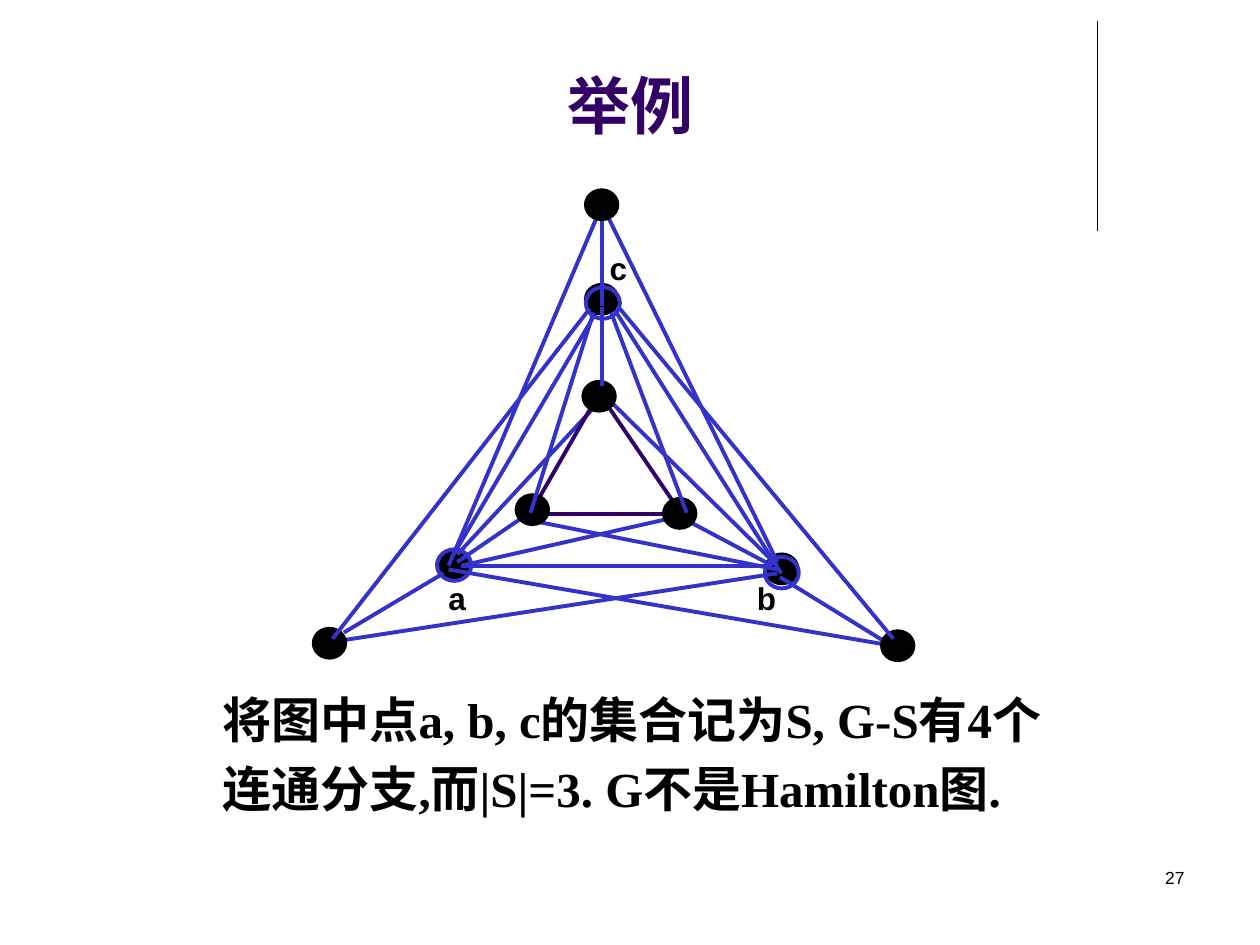
from dataclasses import dataclass
from typing import NamedTuple

from lxml import etree
from pptx import Presentation
from pptx import util as u
from pptx.dml.color import RGBColor
from pptx.enum import shapes, text
from pptx.oxml.ns import qn

PX = 9144  # EMU per px, 100 px to the inch
BLACK = RGBColor(0, 0, 0)
BLUE = RGBColor(0x33, 0x33, 0xCC)
PURPLE = RGBColor(0x33, 0x00, 0x66)
NODE_W, NODE_H = 27, 25


class Point(NamedTuple):
    x: int
    y: int


class Box(NamedTuple):
    x: int
    y: int
    w: int
    h: int


class Edge(NamedTuple):
    x1: int
    y1: int
    x2: int
    y2: int


@dataclass
class Hub:
    """A labelled vertex of S with its ring and the edges drawn with it."""
    name: str
    dot: Point
    ring: Point
    label: Box
    edges: list[Edge]


HUBS_AB = [
    Hub("a", Point(346, 436), Point(347, 436), Box(346, 455, 37, 40), [
        Edge(366, 449, 630, 449), Edge(476, 167, 356, 449),
        Edge(476, 243, 360, 440), Edge(356, 452, 717, 514),
        Edge(423, 405, 363, 446), Edge(352, 455, 273, 502),
        Edge(366, 449, 547, 408), Edge(363, 440, 483, 311)]),
    Hub("b", Point(607, 439), Point(607, 442), Box(591, 455, 37, 40), [
        Edge(480, 167, 617, 446), Edge(486, 243, 620, 455),
        Edge(619, 458, 710, 514), Edge(547, 414, 613, 449),
        Edge(426, 414, 617, 452), Edge(273, 508, 617, 455),
        Edge(486, 320, 617, 449)]),
]
HUB_C = Hub("c", Point(464, 225), Point(465, 228), Box(474, 193, 38, 31), [
    Edge(478, 175, 478, 243), Edge(478, 244, 478, 306),
    Edge(471, 248, 421, 407), Edge(485, 248, 545, 407),
    Edge(492, 245, 709, 507), Edge(468, 245, 264, 507)])
INNER_TRIANGLE = [Edge(429, 408, 529, 408), Edge(471, 320, 424, 402),
                  Edge(481, 320, 541, 408)]
OTHER_DOTS = [Point(248, 498), Point(409, 392), Point(464, 150),
              Point(462, 302), Point(526, 395), Point(699, 500)]


def px(*values: int) -> list[int]:
    return [u.Emu(v * PX) for v in values]


def add_line(parent, edge: Edge, color: RGBColor, width: float = 2.25) -> None:
    ln = parent.add_connector(shapes.MSO_CONNECTOR.STRAIGHT, *px(*edge))
    ln.line.color.rgb = color
    ln.line.width = u.Pt(width)
    etree.SubElement(ln._element.spPr, qn("a:effectLst"))


def add_node(parent, at: Point, ring: bool = False) -> None:
    sp = parent.add_shape(shapes.MSO_SHAPE.OVAL, *px(*at, NODE_W, NODE_H))
    sp.shadow.inherit = False
    if ring:
        sp.fill.background()
    else:
        sp.fill.solid()
        sp.fill.fore_color.rgb = BLACK
    sp.line.color.rgb = BLUE if ring else BLACK
    sp.line.width = u.Pt(2.25 if ring else 0.75)


def add_run(p, words: str, size: int, font: str = "Arial",
            color: RGBColor = BLACK, bold: bool = True) -> None:
    r = p.add_run()
    r.text = words
    r.font.name, r.font.size, r.font.bold = font, u.Pt(size), bold
    r.font.color.rgb = color


def add_text_box(parent, box: Box, wrap: bool = True):
    tf = parent.add_textbox(*px(*box)).text_frame
    tf.word_wrap = wrap
    return tf.paragraphs[0]


def add_hub(s, hub: Hub) -> None:
    parent = s.shapes.add_group_shape().shapes
    add_node(parent, hub.dot)
    for edge in hub.edges:
        add_line(parent, edge, BLUE)
    add_node(parent, hub.ring, ring=True)
    add_run(add_text_box(parent, hub.label, wrap=False), hub.name, 18)


def main() -> None:
    prs = Presentation()
    prs.slide_width, prs.slide_height = px(1000, 750)
    s = prs.slides.add_slide(prs.slide_layouts[5])

    # Corner rule
    add_line(s.shapes, Edge(871, 17, 871, 183), BLACK, 0.75)

    # Title
    title = s.shapes.title
    title.left, title.top, title.width, title.height = px(0, 53, 1000, 65)
    tf = title.text_frame
    tf.vertical_anchor = text.MSO_ANCHOR.BOTTOM
    tf.auto_size = text.MSO_AUTO_SIZE.NONE
    p = tf.paragraphs[0]
    p.alignment = text.PP_ALIGN.CENTER
    add_run(p, "举例", 36, color=PURPLE)

    # Conclusion
    p = add_text_box(s.shapes, Box(167, 542, 692, 133))
    add_run(p, "将图中点a, b, c的集合记为S, G-S有4个连通分支,而|S|=3. "
               "G不是Hamilton图.", 28, "Times New Roman")
    add_run(p, " ", 34, "Times New Roman")

    # Graph: hubs a and b, the remaining vertices, then hub c on top
    for hub in HUBS_AB:
        add_hub(s, hub)
    rest = s.shapes.add_group_shape().shapes
    for edge in INNER_TRIANGLE:
        add_line(rest, edge, PURPLE)
    for dot in OTHER_DOTS:
        add_node(rest, dot)
    add_hub(s, HUB_C)

    # Slide number
    p = add_text_box(s.shapes, Box(717, 683, 233, 50))
    p.alignment = text.PP_ALIGN.RIGHT
    add_run(p, "27", 10, bold=False)

    prs.save("out.pptx")


if __name__ == "__main__":
    main()
